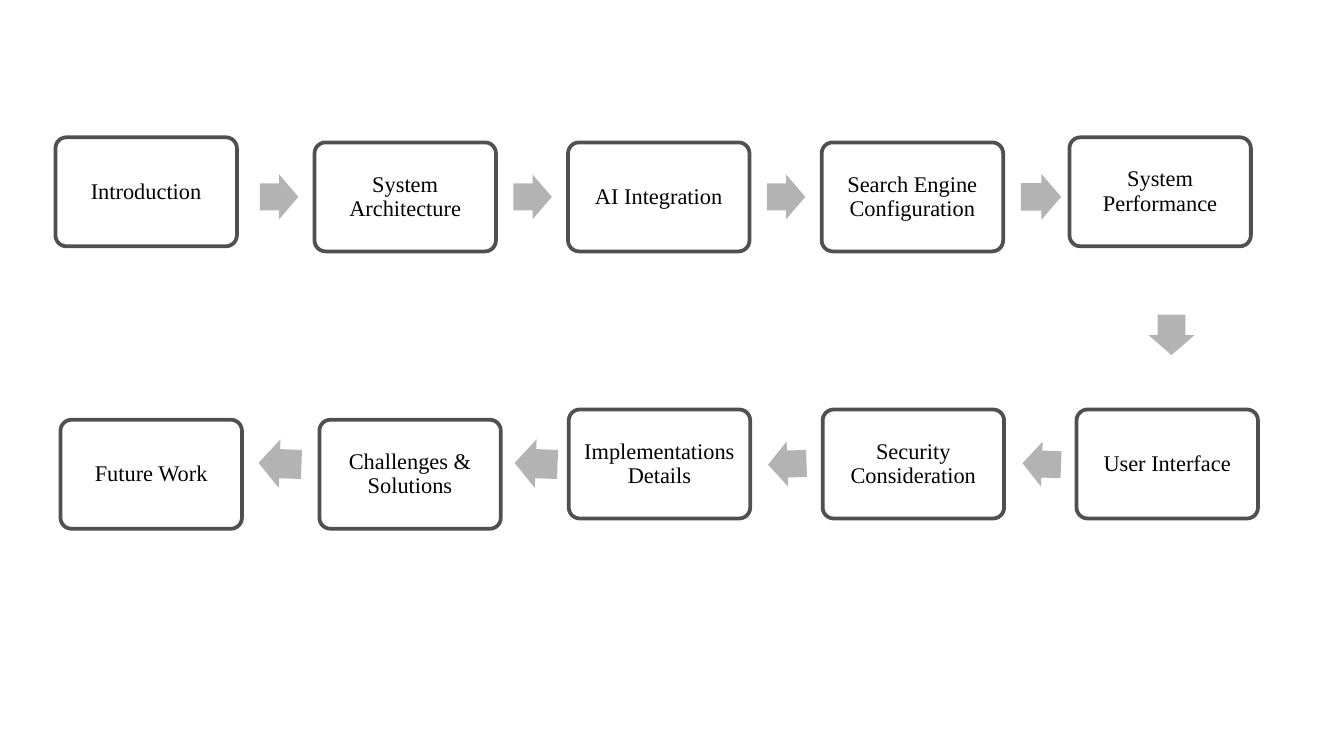
from pptx import Presentation
from pptx.dml.color import RGBColor
from pptx.enum import shapes, text
from pptx.util import Pt

STEP_SIZE = (97.2, 58.4)
STEPS = [
    ("Introduction", 29.7, 73.6),
    ("System Architecture", 168.5, 76.3),
    ("AI Integration", 304.3, 76.3),
    ("Search Engine Configuration", 440.2, 76.3),
    ("System Performance", 572.9, 73.6),
    ("User Interface", 576.7, 219.4),
    ("Security Consideration", 440.7, 219.4),
    ("Implementations Details", 304.7, 219.4),
    ("Challenges & Solutions", 171.1, 224.9),
    ("Future Work", 32.4, 224.9),
]
SMALL, MEDIUM, LARGE = (20.6, 24.1, 0.5), (21.6, 24.6, 0.49), (23, 26, 0.49)
ARROWS = [
    (149.5, 105.5, 0, SMALL),
    (285.3, 105.5, 0, SMALL),
    (421.1, 105.5, 0, SMALL),
    (557.7, 105.5, 0, MEDIUM),
    (627.6, 179.4, 90, MEDIUM),
    (558.1, 248.6, 182.3, SMALL),
    (421.8, 248.6, 178.1, SMALL),
    (287.2, 248.4, 182.1, LARGE),
    (150, 248.4, 182.1, LARGE),
]
FRAME = dict(word_wrap=True, vertical_anchor=text.MSO_ANCHOR.MIDDLE,
             margin_left=Pt(3.6), margin_right=Pt(3.6),
             margin_top=Pt(3.6), margin_bottom=Pt(3.6))
PARAGRAPH = dict(alignment=text.PP_ALIGN.CENTER, line_spacing=0.9,
                 space_before=Pt(5))
FONT = dict(name="Times New Roman", size=Pt(12))


def paint(fmt, color):
    fmt.solid()
    fmt.fore_color.rgb = RGBColor.from_string(color)


def apply(obj, values):
    for key, value in values.items():
        setattr(obj, key, value)


def add_shape(s, kind, x, y, w, h, fill, adjustments):
    sp = s.shapes.add_shape(kind, Pt(x), Pt(y), Pt(w), Pt(h))
    sp.shadow.inherit = False
    paint(sp.fill, fill)
    for i, value in enumerate(adjustments):
        sp.adjustments[i] = value
    return sp


def add_step(s, label, x, y):
    sp = add_shape(s, shapes.MSO_SHAPE.ROUNDED_RECTANGLE, x, y, *STEP_SIZE,
                   "FFFFFF", [0.1])
    paint(sp.line.fill, "505050")
    sp.line.width = Pt(2)
    tf = sp.text_frame
    apply(tf, FRAME)
    p = tf.paragraphs[0]
    apply(p, PARAGRAPH)
    r = p.add_run()
    r.text = label
    apply(r.font, FONT)
    paint(r.font.fill, "000000")


def add_arrow(s, cx, cy, angle, size):
    w, h, head = size
    sp = add_shape(s, shapes.MSO_SHAPE.RIGHT_ARROW, cx - w / 2, cy - h / 2,
                   w, h, "B3B3B3", [0.6, head])
    sp.line.fill.background()
    sp.rotation = angle


def main():
    prs = Presentation()
    prs.slide_width, prs.slide_height = Pt(720), Pt(405)
    s = prs.slides.add_slide(prs.slide_layouts[6])
    for arrow in ARROWS:
        add_arrow(s, *arrow)
    for step in STEPS:
        add_step(s, *step)
    prs.save("out.pptx")


if __name__ == "__main__":
    main()
